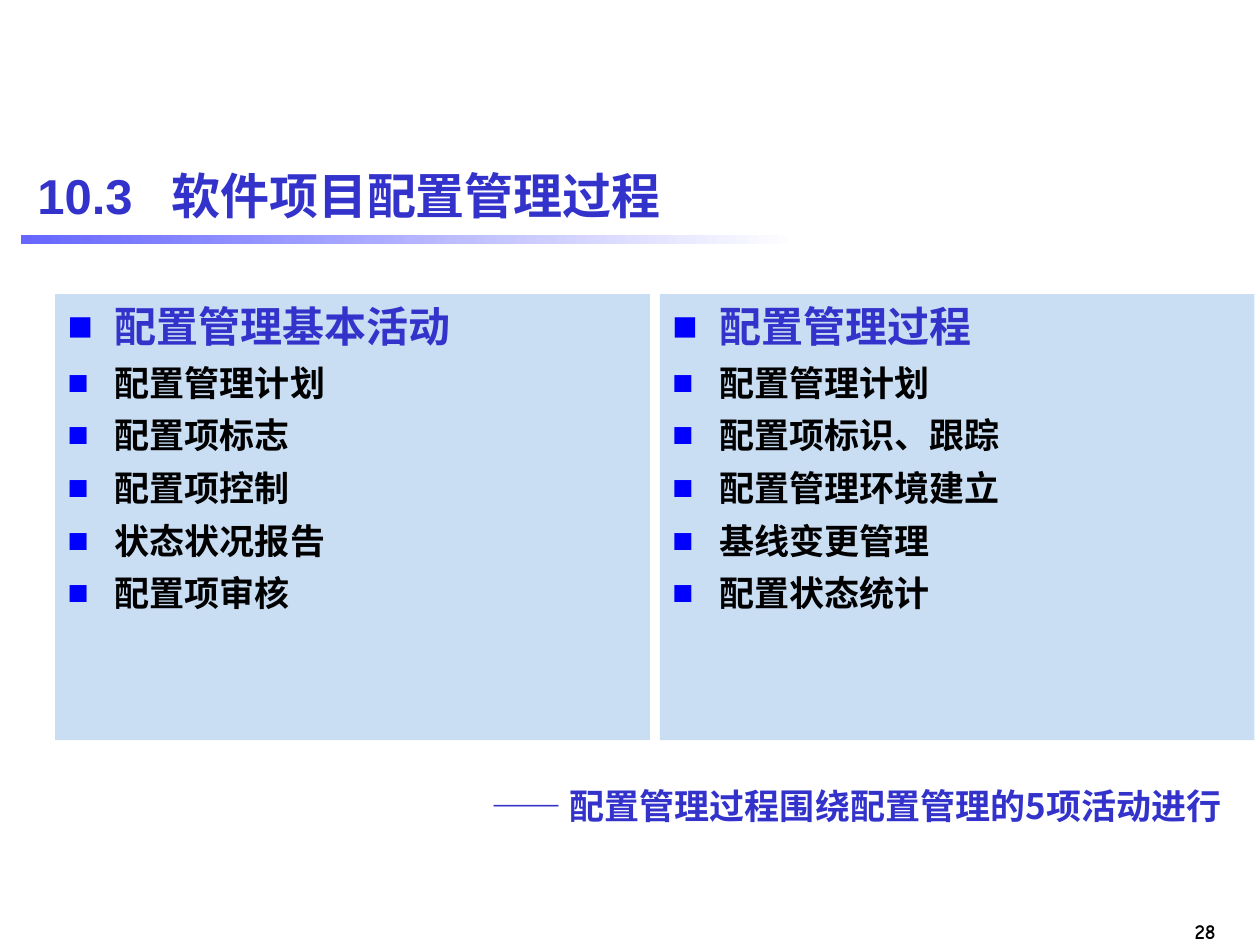
from dataclasses import dataclass

from lxml.etree import SubElement
from pptx import Presentation
from pptx.dml.color import RGBColor
from pptx.enum.shapes import MSO_SHAPE
from pptx.enum.text import MSO_ANCHOR, MSO_AUTO_SIZE, PP_ALIGN
from pptx.oxml.ns import qn
from pptx.slide import Slide
from pptx.text.text import TextFrame, _Paragraph
from pptx.util import Cm, Pt


@dataclass(frozen=True)
class Theme:
    accent: str = "3333CC"
    text: str = "000000"
    panel: str = "C9DDF3"
    bullet: str = "0000FF"
    bar_start: str = "6666FF"
    bar_end: str = "FFFFFF"
    latin: str = "Arial"
    cjk: str = "Noto Sans CJK SC"
    number: str = "Comic Neue"
    title_size: int = 28
    heading_size: int = 24
    item_size: int = 20
    number_size: int = 12


@dataclass(frozen=True)
class Box:
    left: float
    top: float
    width: float
    height: float

    def lengths(self) -> tuple[Cm, Cm, Cm, Cm]:
        return Cm(self.left), Cm(self.top), Cm(self.width), Cm(self.height)


@dataclass(frozen=True)
class Panel:
    heading: str
    items: tuple[str, ...]


THEME = Theme()
TITLE_BOX = Box(0.5, 2.92, 24.41, 2.01)
BAR_BOX = Box(0.42, 4.73, 15.67, 0.2)
PANEL_BOX = Box(1.11, 5.93, 11.99, 8.99)
PANEL_GAP = 0.2
NOTE_BOX = Box(9.91, 15.72, 15.01, 1.02)
NUMBER_BOX = Box(23.36, 18.4, 1.4, 0.76)
HANG = Cm(0.95)
PANELS = (
    Panel("配置管理基本活动",
          ("配置管理计划", "配置项标志", "配置项控制", "状态状况报告", "配置项审核")),
    Panel("配置管理过程",
          ("配置管理计划", "配置项标识、跟踪", "配置管理环境建立", "基线变更管理", "配置状态统计")),
)


def place(sp, box: Box) -> None:
    sp.left, sp.top, sp.width, sp.height = box.lengths()


def style(p: _Paragraph, size: int, color: str, font: str) -> None:
    for r in p.runs:
        r.font.size = Pt(size)
        r.font.bold = True
        r.font.color.rgb = RGBColor.from_string(color)
        r.font.name = font
        ea = SubElement(r.font._element, qn("a:ea"))
        ea.set("typeface", THEME.cjk)


def add_bullet(p: _Paragraph) -> None:
    pPr = p._p.get_or_add_pPr()
    pPr.set("marL", str(HANG))
    pPr.set("indent", str(-HANG))
    clr = SubElement(pPr, qn("a:buClr"))
    SubElement(clr, qn("a:srgbClr")).set("val", THEME.bullet)
    SubElement(pPr, qn("a:buFont")).set("typeface", THEME.latin)
    SubElement(pPr, qn("a:buChar")).set("char", "■")


def set_title(s: Slide, number: str, text: str) -> None:
    sp = s.shapes.title
    place(sp, TITLE_BOX)
    tf = sp.text_frame
    tf.text = f"{number}\t{text}"
    tf.auto_size = MSO_AUTO_SIZE.NONE
    tf.vertical_anchor = MSO_ANCHOR.MIDDLE
    p = tf.paragraphs[0]
    p.alignment = PP_ALIGN.LEFT
    tabs = SubElement(p._p.get_or_add_pPr(), qn("a:tabLst"))
    tab = SubElement(tabs, qn("a:tab"))
    tab.set("pos", str(Cm(2.7)))
    tab.set("algn", "l")
    style(p, THEME.title_size, THEME.accent, THEME.latin)


def add_bar(s: Slide) -> None:
    sp = s.shapes.add_shape(MSO_SHAPE.RECTANGLE, *BAR_BOX.lengths())
    sp.shadow.inherit = False
    sp.line.fill.background()
    sp.fill.gradient()
    sp.fill.gradient_angle = 0
    for stop, color in zip(sp.fill.gradient_stops, (THEME.bar_start, THEME.bar_end)):
        stop.color.rgb = RGBColor.from_string(color)


def fill_panel(sp, panel: Panel, box: Box) -> None:
    place(sp, box)
    sp.fill.solid()
    sp.fill.fore_color.rgb = RGBColor.from_string(THEME.panel)
    tf = sp.text_frame
    tf.text = "\n".join((panel.heading, *panel.items))
    tf.auto_size = MSO_AUTO_SIZE.NONE
    for i, p in enumerate(tf.paragraphs):
        p.space_before = Pt(6 if i else 0)
        add_bullet(p)
        if i:
            style(p, THEME.item_size, THEME.text, THEME.cjk)
        else:
            style(p, THEME.heading_size, THEME.accent, THEME.latin)


def add_text(s: Slide, box: Box, text: str, size: int, color: str, font: str) -> TextFrame:
    tf = s.shapes.add_textbox(*box.lengths()).text_frame
    tf.text = text
    style(tf.paragraphs[0], size, color, font)
    return tf


def main() -> None:
    """Build the slide on the configuration management process."""
    prs = Presentation()
    prs.slide_width, prs.slide_height = Cm(25.4), Cm(19.05)
    s = prs.slides.add_slide(prs.slide_layouts[3])
    add_bar(s)
    set_title(s, "10.3", "软件项目配置管理过程")
    for i, panel in enumerate(PANELS):
        left = PANEL_BOX.left + i * (PANEL_BOX.width + PANEL_GAP)
        box = Box(left, PANEL_BOX.top, PANEL_BOX.width, PANEL_BOX.height)
        fill_panel(s.placeholders[i + 1], panel, box)

    tf = add_text(s, NOTE_BOX, "—— 配置管理过程围绕配置管理的5项活动进行",
                  THEME.item_size, THEME.accent, THEME.cjk)
    tf.word_wrap = True
    tf.vertical_anchor = MSO_ANCHOR.MIDDLE
    tf.margin_left = tf.margin_right = tf.margin_top = 0
    tf.margin_bottom = Cm(0.16)
    tf.paragraphs[0].line_spacing = Pt(28.5)

    tf = add_text(s, NUMBER_BOX, "28", THEME.number_size, THEME.text, THEME.number)
    tf.paragraphs[0].alignment = PP_ALIGN.RIGHT
    prs.save("out.pptx")


if __name__ == "__main__":
    main()
